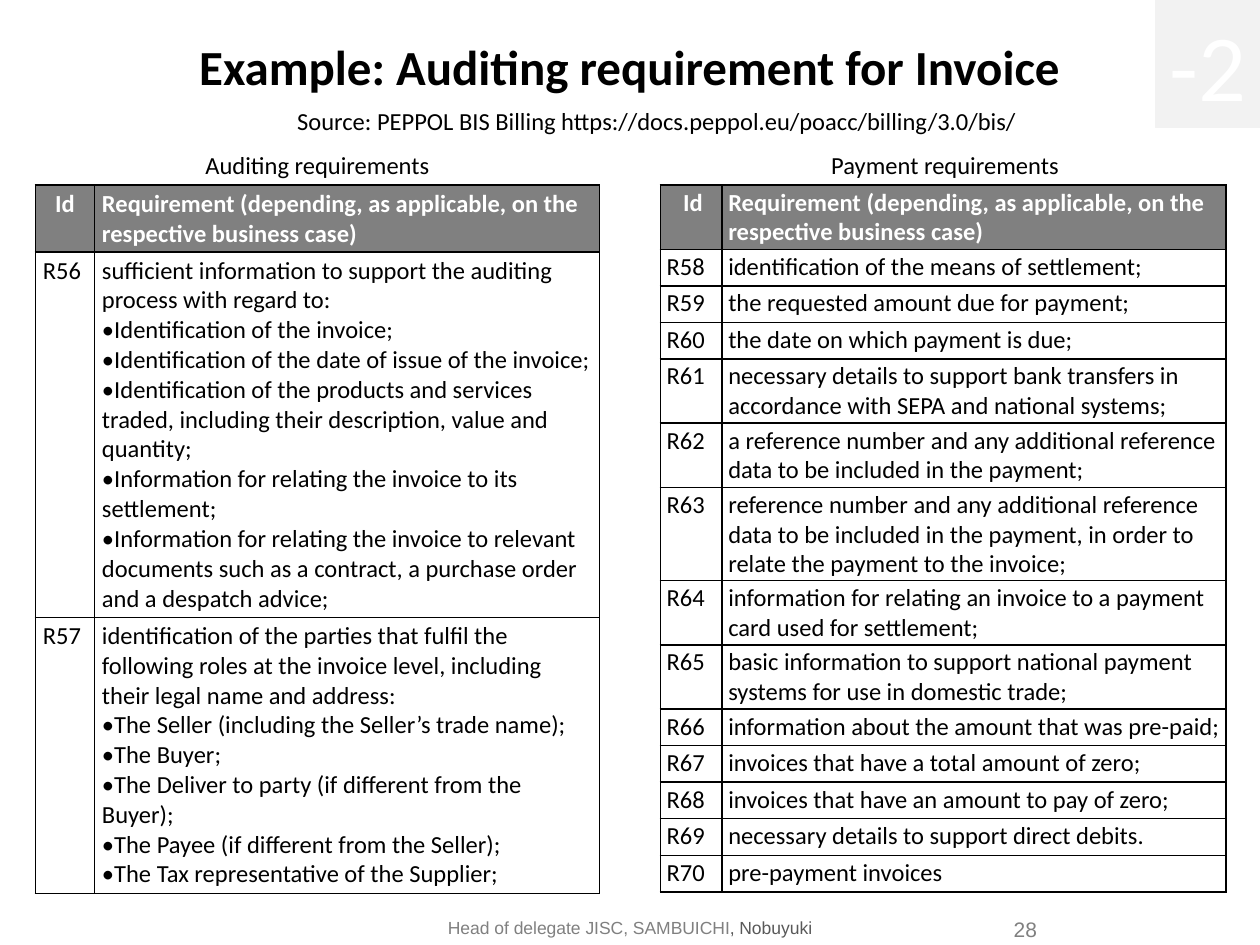
from lxml.etree import SubElement
from pptx import Presentation
from pptx.dml.color import RGBColor
from pptx.enum.shapes import MSO_SHAPE
from pptx.enum.text import MSO_ANCHOR, PP_ALIGN
from pptx.oxml.ns import qn
from pptx.util import Inches, Pt

COLORS = {"ink": "000000", "paper": "FFFFFF", "head": "808080",
          "name": "595959", "tab": "F2F2F2"}

TITLE = "Example: Auditing requirement for Invoice"
SOURCE = "Source: PEPPOL BIS Billing https://docs.peppol.eu/poacc/billing/3.0/bis/"
HEAD = ("Id", "Requirement (depending, as applicable, on the respective business case)")

# Each requirement: id, lead text, then any bulleted lines
AUDIT = [
    ("R56", "sufficient information to support the auditing process with regard to:",
     "Identification of the invoice;",
     "Identification of the date of issue of the invoice;",
     "Identification of the products and services traded, including their "
     "description, value and quantity;",
     "Information for relating the invoice to its settlement;",
     "Information for relating the invoice to relevant documents such as a "
     "contract, a purchase order and a despatch advice;"),
    ("R57", "identification of the parties that fulfil the following roles at the "
     "invoice level, including their legal name and address:",
     "The Seller (including the Seller’s trade name);",
     "The Buyer;",
     "The Deliver to party (if different from the Buyer);",
     "The Payee (if different from the Seller);",
     "The Tax representative of the Supplier;"),
]
PAYMENT = [
    ("R58", "identification of the means of settlement;"),
    ("R59", "the requested amount due for payment;"),
    ("R60", "the date on which payment is due;"),
    ("R61", "necessary details to support bank transfers in accordance with SEPA "
     "and national systems;"),
    ("R62", "a reference number and any additional reference data to be included "
     "in the payment;"),
    ("R63", "reference number and any additional reference data to be included in "
     "the payment, in order to relate the payment to the invoice;"),
    ("R64", "information for relating an invoice to a payment card used for settlement;"),
    ("R65", "basic information to support national payment systems for use in "
     "domestic trade;"),
    ("R66", "information about the amount that was pre-paid;"),
    ("R67", "invoices that have a total amount of zero;"),
    ("R68", "invoices that have an amount to pay of zero;"),
    ("R69", "necessary details to support direct debits."),
    ("R70", "pre-payment invoices"),
]
ONE, TWO, THREE = 0.29, 0.51, 0.74  # row heights by number of text lines
TABLES = [
    dict(name="Auditing requirements", items=AUDIT, left=0.28, cols=(0.47, 4.01),
         rows=(0.3, 0.53, 2.9, 2.19), pad=(0.06, 0.03, 0.06, 0.03)),
    dict(name="Payment requirements", items=PAYMENT, left=5.24, cols=(0.49, 4),
         rows=(0.3, TWO, *[ONE] * 3, TWO, TWO, THREE, TWO, TWO, *[ONE] * 5),
         pad=(0.05, 0.02, 0.02, 0.02)),
]
TABLE_TOP = 1.17


def color(key):
    return RGBColor.from_string(COLORS[key])


def write(frame, *lines, size=14, font="Calibri", ink="ink", bold=False,
          align=PP_ALIGN.LEFT, anchor=MSO_ANCHOR.TOP, pad=(0.1, 0.05, 0.1, 0.05),
          wrap=True, spacing=None):
    """Fill a frame; a line is a string or a list of (text, colour) runs."""
    frame.word_wrap, frame.vertical_anchor = wrap, anchor
    (frame.margin_left, frame.margin_top,
     frame.margin_right, frame.margin_bottom) = map(Inches, pad)
    for i, line in enumerate(lines):
        para = frame.add_paragraph() if i else frame.paragraphs[0]
        para.alignment = align
        if spacing:
            para.line_spacing = spacing
        for text, tone in [(line, ink)] if isinstance(line, str) else line:
            run = para.add_run()
            run.text = text
            run.font.size, run.font.name, run.font.bold = Pt(size), font, bold
            run.font.color.rgb = color(tone)


def add_text(slide, box, *lines, **style):
    write(slide.shapes.add_textbox(*map(Inches, box)).text_frame, *lines, **style)


def add_bullet(para):
    props = para._p.get_or_add_pPr()
    props.set("marL", "0")
    props.set("indent", "0")
    SubElement(props, qn("a:buFont"), typeface="Calibri")
    SubElement(props, qn("a:buChar"), char="•")


def draw_edges(cell, sides):
    """Draw a 1 pt line on the given sides and clear the others."""
    props = cell._tc.get_or_add_tcPr()
    for side in "LRTB":
        edge = SubElement(props, qn("a:ln" + side), w=str(Pt(1)))
        if side in sides:
            fill = SubElement(edge, qn("a:solidFill"))
            SubElement(fill, qn("a:srgbClr"), val=COLORS["ink"])
        else:
            SubElement(edge, qn("a:noFill"))


def fill_cell(cell, *lines, pad, back="paper", edges="LRTB",
              anchor=MSO_ANCHOR.TOP, **style):
    draw_edges(cell, edges)
    cell.fill.solid()
    cell.fill.fore_color.rgb = color(back)
    write(cell.text_frame, *lines, **style)
    cell.vertical_anchor = anchor
    (cell.margin_left, cell.margin_top,
     cell.margin_right, cell.margin_bottom) = map(Inches, pad)
    for para in cell.text_frame.paragraphs[1:]:
        add_bullet(para)


def add_grid(slide, name, items, left, cols, rows, pad):
    box = (left, TABLE_TOP, sum(cols), sum(rows))
    table = slide.shapes.add_table(len(rows), len(cols), *map(Inches, box)).table
    table.first_row = table.horz_banding = False
    for col, width in zip(table.columns, cols):
        col.width = Inches(width)
    for row, height in zip(table.rows, rows):
        row.height = Inches(height)

    table.cell(0, 0).merge(table.cell(0, 1))
    for c, lines in enumerate(([name], [])):
        fill_cell(table.cell(0, c), *lines, pad=pad, edges="B",
                  align=PP_ALIGN.CENTER, anchor=MSO_ANCHOR.MIDDLE)
    for c, text in enumerate(HEAD):
        fill_cell(table.cell(1, c), text, pad=pad, back="head", ink="paper", bold=True,
                  align=PP_ALIGN.LEFT if c else PP_ALIGN.CENTER)
    for r, (code, *lines) in enumerate(items, 2):
        fill_cell(table.cell(r, 0), code, pad=pad)
        fill_cell(table.cell(r, 1), *lines, pad=pad)


def main():
    deck = Presentation()
    deck.slide_width, deck.slide_height = Inches(10), Inches(7.5)
    slide = deck.slides.add_slide(deck.slide_layouts[5])

    title = slide.shapes.title
    title.left, title.top, title.width, title.height = map(Inches, (0.98, 0, 8.03, 0.76))
    write(title.text_frame, TITLE, size=28, bold=True, align=PP_ALIGN.CENTER,
          anchor=MSO_ANCHOR.BOTTOM, pad=(0, 0, 0, 0), spacing=0.9)

    add_text(slide, (7.68, 7.19, 0.55, 0.31), "28", size=12, font="Arial", ink="head",
             align=PP_ALIGN.RIGHT, pad=(0.08, 0.08, 0, 0))
    add_text(slide, (2.6, 7.23, 4.8, 0.27),
             [("Head of delegate JISC, SAMBUICHI", "head"), (", Nobuyuki", "name")],
             size=10, font="Arial", align=PP_ALIGN.CENTER, anchor=MSO_ANCHOR.MIDDLE)
    for grid in TABLES:
        add_grid(slide, **grid)
    add_text(slide, (2.26, 0.79, 5.96, 0.34), SOURCE, wrap=False)

    tab = slide.shapes.add_shape(MSO_SHAPE.RECTANGLE, *map(Inches, (9.17, 0, 0.83, 1.01)))
    tab.shadow.inherit = False
    tab.fill.solid()
    tab.fill.fore_color.rgb = tab.line.color.rgb = color("tab")
    tab.line.width = Pt(0.75)
    write(tab.text_frame, "-2", size=54, ink="paper", align=PP_ALIGN.CENTER,
          anchor=MSO_ANCHOR.MIDDLE, wrap=False)

    deck.save("out.pptx")


if __name__ == "__main__":
    main()
